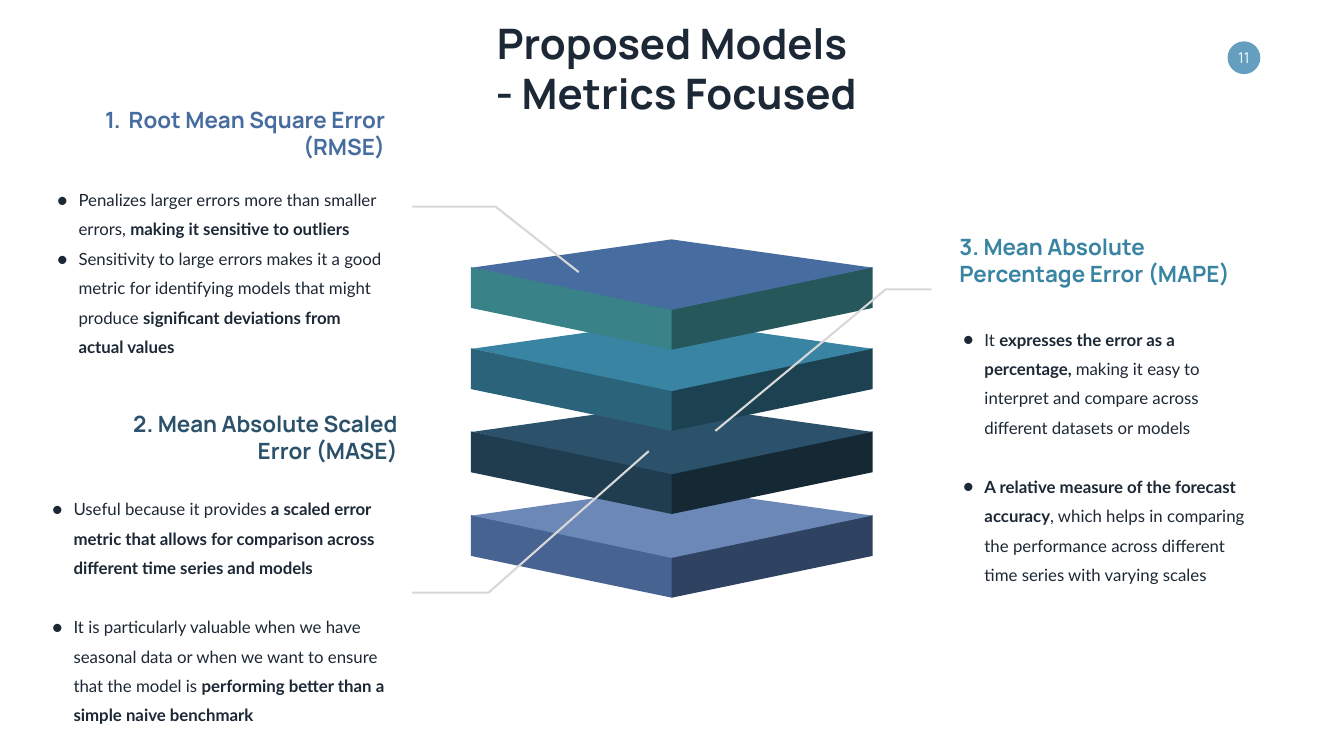
import pptx
import pptx.util
import pptx.dml.color
import pptx.enum.shapes
import pptx.enum.text
import lxml.etree
import pptx.oxml.ns

PX = 9144  # EMU per px, 100 px to the inch
ALIGN = pptx.enum.text.PP_ALIGN
ANCHOR = pptx.enum.text.MSO_ANCHOR

COLORS = {
    "ink": "1C2835", "white": "FFFFFF", "badge": "659FC0", "leader": "D8D8D8",
    "rmse": "466CA0", "mase": "2B526A", "mape": "3984A3",
    "rmse_left": "388288", "rmse_right": "25575B",
    "mape_left": "2A637A", "mape_right": "1C4251",
    "mase_left": "203D4F", "mase_right": "152935",
    "base": "6C88B7", "base_left": "476392", "base_right": "2F4261",
}

PAGE_NUMBER = "11"
TITLE = ["Proposed Models", " - Metrics Focused"]

# Layers from bottom to top: colour name, y of the left corner
LAYERS = [("base", 1022), ("mase", 856), ("mape", 691), ("rmse", 530)]

LEADERS = [
    [(1148, 540), (983, 410), (817, 410)],
    [(1419, 855), (1757, 574), (1848, 574)],
    [(1287, 895), (969, 1176), (817, 1176)],
]

# Each bullet is a list of (text, bold) runs; gap is the space between bullets in points
METRICS = [
    {"heading": "3. Mean Absolute Percentage Error (MAPE)", "color": "mape",
     "heading_box": (1893, 456, 633, 118), "align": ALIGN.LEFT, "numbered": False,
     "body_box": (1893, 630, 608, 522), "gap": 42,
     "bullets": [
         [("It ", False), ("expresses the error as a percentage, ", True),
          ("making it easy to interpret and compare across different datasets or models", False)],
         [("A relative measure of the forecast accuracy", True),
          (", which helps in comparing the performance across different time series "
           "with varying scales", False)]]},
    {"heading": "Root Mean Square Error (RMSE)", "color": "rmse",
     "heading_box": (117, 205, 657, 118), "align": ALIGN.RIGHT, "numbered": True,
     "body_box": (96, 353, 678, 404), "gap": 0,
     "bullets": [
         [("Penalizes larger errors more than smaller errors, ", False),
          ("making it sensitive to outliers", True)],
         [("Sensitivity to large errors makes it a good metric for identifying models "
           "that might produce ", False),
          ("significant deviations from actual values", True)]]},
    {"heading": "2. Mean Absolute Scaled Error (MASE)", "color": "mase",
     "heading_box": (166, 808, 633, 118), "align": ALIGN.RIGHT, "numbered": False,
     "body_box": (86, 967, 719, 463), "gap": 42,
     "bullets": [
         [("Useful because it provides ", False),
          ("a scaled error metric that allows for comparison across different time series "
           "and models", True)],
         [("It is particularly valuable when we have seasonal data or when we want to ensure "
           "that the model is ", False),
          ("performing better than a simple naive benchmark", True)]]},
]


def rgb(name):
    return pptx.dml.color.RGBColor.from_string(COLORS[name])


def add_path(slide, points, closed):
    (x, y), *rest = points
    builder = slide.shapes.build_freeform(x, y, scale=PX)
    builder.add_line_segments(rest, close=closed)
    sp = builder.convert_to_shape()
    sp.shadow.inherit = False
    return sp


def add_face(slide, points, color):
    sp = add_path(slide, points, True)
    sp.fill.solid()
    sp.fill.fore_color.rgb = rgb(color)
    sp.line.fill.background()


def add_layer(slide, color, y):
    """Draw one slab: two side faces, then the top face."""
    for side, outer, inner in (("left", 934, 1333), ("right", 1731, 1332)):
        add_face(slide, [(outer, y), (inner, y + 83), (inner, y + 164), (outer, y + 81)],
                 f"{color}_{side}")
    add_face(slide, [(937, y + 1), (1332, y - 55), (1730, y + 1), (1332, y + 85)], color)


def add_leader(slide, points):
    sp = add_path(slide, points, False)
    sp.fill.background()
    sp.line.color.rgb = rgb("leader")
    sp.line.width = pptx.util.Pt(3)


def add_text_box(slide, box, anchor=ANCHOR.TOP):
    tf = slide.shapes.add_textbox(*(v * PX for v in box)).text_frame
    tf.word_wrap = True
    tf.vertical_anchor = anchor
    return tf


def next_paragraph(tf, index):
    return tf.add_paragraph() if index else tf.paragraphs[0]


def add_run(p, text, size, font, color, bold=False):
    r = p.add_run()
    r.text = text
    r.font.size = pptx.util.Pt(size)
    r.font.name = font
    r.font.color.rgb = rgb(color)
    r.font.bold = bold


def set_bullet(p, color, font, hang, tag, **attributes):
    """Give a paragraph a hanging bullet or number; hang is in px."""
    qn = pptx.oxml.ns.qn
    pPr = p._p.get_or_add_pPr()
    pPr.set("marL", str(50 * PX))
    pPr.set("indent", str(-hang * PX))
    clr = lxml.etree.SubElement(pPr, qn("a:buClr"))
    lxml.etree.SubElement(clr, qn("a:srgbClr"), val=COLORS[color])
    lxml.etree.SubElement(pPr, qn("a:buFont"), typeface=font)
    lxml.etree.SubElement(pPr, qn(tag), **attributes)


def add_metric(slide, metric):
    tf = add_text_box(slide, metric["body_box"])
    for i, runs in enumerate(metric["bullets"]):
        p = next_paragraph(tf, i)
        set_bullet(p, "ink", "Lato", 42, "a:buChar", char="●")
        p.line_spacing = 1.46
        if i:
            p.space_before = pptx.util.Pt(metric["gap"])
        for text, bold in runs:
            add_run(p, text, 24, "Lato", "ink", bold)

    p = add_text_box(slide, metric["heading_box"], ANCHOR.BOTTOM).paragraphs[0]
    p.alignment = metric["align"]
    if metric["numbered"]:
        set_bullet(p, metric["color"], "Manrope", 47, "a:buAutoNum", type="arabicPeriod")
    add_run(p, metric["heading"], 32, "Manrope", metric["color"], True)


def add_page_number(slide):
    oval = pptx.enum.shapes.MSO_SHAPE.OVAL
    sp = slide.shapes.add_shape(oval, *(v * PX for v in (2435, 82, 65, 65)))
    sp.shadow.inherit = False
    sp.fill.solid()
    sp.fill.fore_color.rgb = rgb("badge")
    sp.line.fill.background()
    tf = sp.text_frame
    tf.vertical_anchor = ANCHOR.MIDDLE
    p = tf.paragraphs[0]
    p.alignment = ALIGN.CENTER
    add_run(p, PAGE_NUMBER, 21, "Manrope", "white")


def main():
    prs = pptx.Presentation()
    prs.slide_width, prs.slide_height = 2666 * PX, 1500 * PX
    slide = prs.slides.add_slide(prs.slide_layouts[6])
    add_page_number(slide)
    for color, y in LAYERS:
        add_layer(slide, color, y)
    for points in LEADERS:
        add_leader(slide, points)
    for metric in METRICS:
        add_metric(slide, metric)
    tf = add_text_box(slide, (702, 29, 1262, 313))
    for i, line in enumerate(TITLE):
        p = next_paragraph(tf, i)
        p.alignment = ALIGN.CENTER
        add_run(p, line, 60, "Manrope", "ink", True)
    prs.save("out.pptx")


if __name__ == "__main__":
    main()
